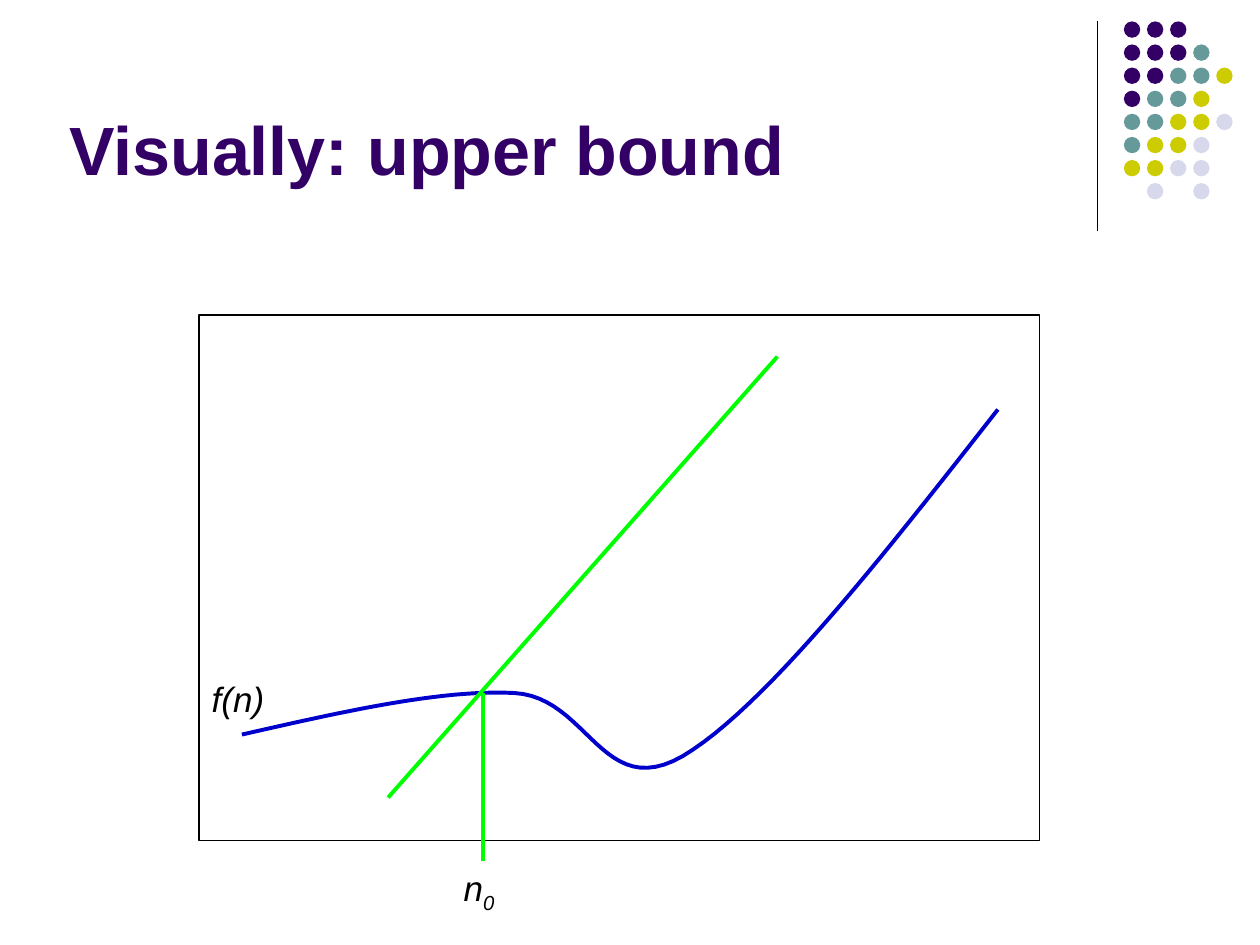
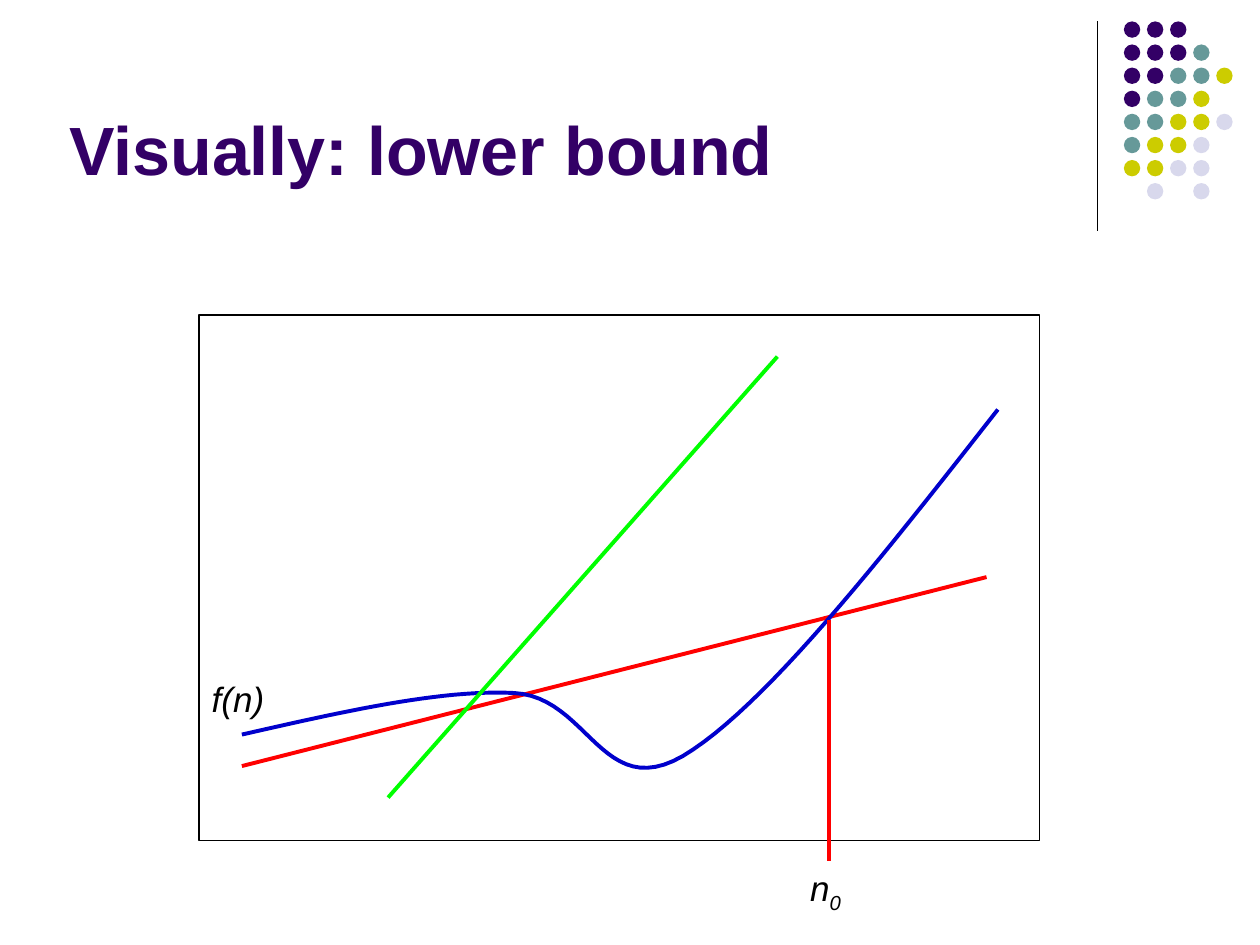
from lxml import etree
from pptx import Presentation
from pptx.dml.color import RGBColor
from pptx.enum.shapes import MSO_CONNECTOR as Conn, MSO_SHAPE as Kind
from pptx.enum.text import MSO_ANCHOR as Anchor
from pptx.oxml.ns import qn
from pptx.util import Inches, Pt

BLACK = RGBColor(0x00, 0x00, 0x00)
PURPLE = RGBColor(0x33, 0x00, 0x66)
TEAL = RGBColor(0x66, 0x99, 0x99)
OLIVE = RGBColor(0xCC, 0xCC, 0x00)
LILAC = RGBColor(0xD8, 0xD8, 0xEC)
BLUE = RGBColor(0x00, 0x00, 0xCC)
GREEN = RGBColor(0x00, 0xFF, 0x00)
RED = RGBColor(0xFF, 0x00, 0x00)

THIN, THICK = 0.75, 2.25
HEAD = dict(name="Arial", size=Pt(39), bold=True)
LABEL = dict(name="Arial", size=Pt(20), italic=True)

# Boxes: left, top, width, height
TITLE = (0.5, 0.13, 8.25, 1.42)
CORNER = (8.71, 0.17, 1.07, 1.66)
PLOT = (1.58, 2.5, 6.67, 4.17)

# Corner dots, one letter for each colour
DOTS = ["PPP", "PPPT", "PPTTO", "PTTO", "TTOOL", "TOOL", "OOLL", " L L"]
TINTS = dict(P=PURPLE, T=TEAL, O=OLIVE, L=LILAC)
PITCH, DOT = 0.55 / 3, 0.13

# Curve and bounds, relative to the plot box
START = (0.34, 3.33)
BENDS = [
    ((1.13, 3.15), (1.92, 2.97), (2.5, 3.0)),
    ((3.09, 3.03), (3.2, 3.87), (3.84, 3.5)),
    ((4.48, 3.12), (5.41, 1.94), (6.34, 0.75)),
]
STEPS = 24
UPPER = ((1.5, 3.83), (4.59, 0.33))
LOWER = ((0.34, 3.58), (6.25, 2.08))
FOOT = 4.33


def add_line(slide, start, end, color, width):
    line = slide.shapes.add_connector(
        Conn.STRAIGHT, *[Inches(v) for v in (*start, *end)])
    line.line.color.rgb = color
    line.line.width = Pt(width)
    etree.SubElement(line._element.spPr, qn("a:effectLst"))


def add_text(slide, box, parts, form, color, anchor=Anchor.TOP, before=0):
    """Write the parts as one line; every second part is a subscript."""
    frame = slide.shapes.add_textbox(*[Inches(v) for v in box]).text_frame
    frame.word_wrap = True
    frame.vertical_anchor = anchor
    for side in ("left", "top", "right", "bottom"):
        setattr(frame, f"margin_{side}", Inches(0.05))
    para = frame.paragraphs[0]
    para.space_before = Pt(before)
    for i, part in enumerate(parts):
        run = para.add_run()
        run.text = part
        for key, value in form.items():
            setattr(run.font, key, value)
        run.font.color.rgb = color
        if i % 2:
            run.font._element.set("baseline", "-25000")


def add_corner(slide, box):
    left, top, _, high = box
    add_line(slide, (left, top), (left, top + high), BLACK, THIN)
    group = slide.shapes.add_group_shape()
    for row, marks in enumerate(DOTS):
        for col, mark in enumerate(marks):
            if mark == " ":
                continue
            x, y = left + 0.21 + col * PITCH, top + row * PITCH
            dot = group.shapes.add_shape(
                Kind.OVAL, *[Inches(v) for v in (x, y, DOT, DOT)])
            dot.shadow.inherit = False
            dot.fill.solid()
            dot.fill.fore_color.rgb = TINTS[mark]
            dot.line.fill.background()


def trace():
    """Return points along the cubic bends."""
    points, a = [START], START
    for b, c, d in BENDS:
        for i in range(1, STEPS + 1):
            t = i / STEPS
            s = 1 - t
            points.append(tuple(
                s**3 * p + 3 * s * s * t * q + 3 * s * t * t * r + t**3 * e
                for p, q, r, e in zip(a, b, c, d)))
        a = d
    return points


def add_plot(slide, box, cross, color, lower):
    left, top, _, _ = box

    def place(point):
        return left + point[0], top + point[1]

    # Frame
    frame = slide.shapes.add_shape(Kind.RECTANGLE, *[Inches(v) for v in box])
    frame.shadow.inherit = False
    frame.fill.background()
    frame.line.color.rgb = BLACK
    frame.line.width = Pt(THIN)

    # Lower bound lies behind the curve
    if lower:
        add_line(slide, *map(place, LOWER), RED, THICK)

    # Curve
    spots = [tuple(Inches(v) for v in place(p)) for p in trace()]
    pen = slide.shapes.build_freeform(*spots[0])
    pen.add_line_segments(spots[1:], close=False)
    curve = pen.convert_to_shape()
    curve.shadow.inherit = False
    curve.fill.background()
    curve.line.color.rgb = BLUE
    curve.line.width = Pt(THICK)

    # Upper bound and drop line
    add_line(slide, *map(place, UPPER), GREEN, THICK)
    add_line(slide, place(cross), place((cross[0], FOOT)), color, THICK)

    # Labels
    add_text(slide, (*place((cross[0] - 0.2, FOOT)), 0.48, 0.46),
             ["n", "0"], LABEL, BLACK, before=12)
    add_text(slide, (*place((0.05, 2.83)), 0.65, 0.41),
             ["f(n)"], LABEL, BLACK, before=12)


def add_slide(deck, title, **plot):
    slide = deck.slides.add_slide(deck.slide_layouts[6])
    add_corner(slide, CORNER)
    add_text(slide, TITLE, [title], HEAD, PURPLE, Anchor.BOTTOM)
    add_plot(slide, PLOT, **plot)


def main():
    deck = Presentation()
    deck.slide_width, deck.slide_height = Inches(10), Inches(7.5)
    add_slide(deck, "Visually: upper bound",
              cross=(2.25, 3.0), color=GREEN, lower=False)
    add_slide(deck, "Visually: lower bound",
              cross=(5.0, 2.42), color=RED, lower=True)
    deck.save("out.pptx")


if __name__ == "__main__":
    main()
